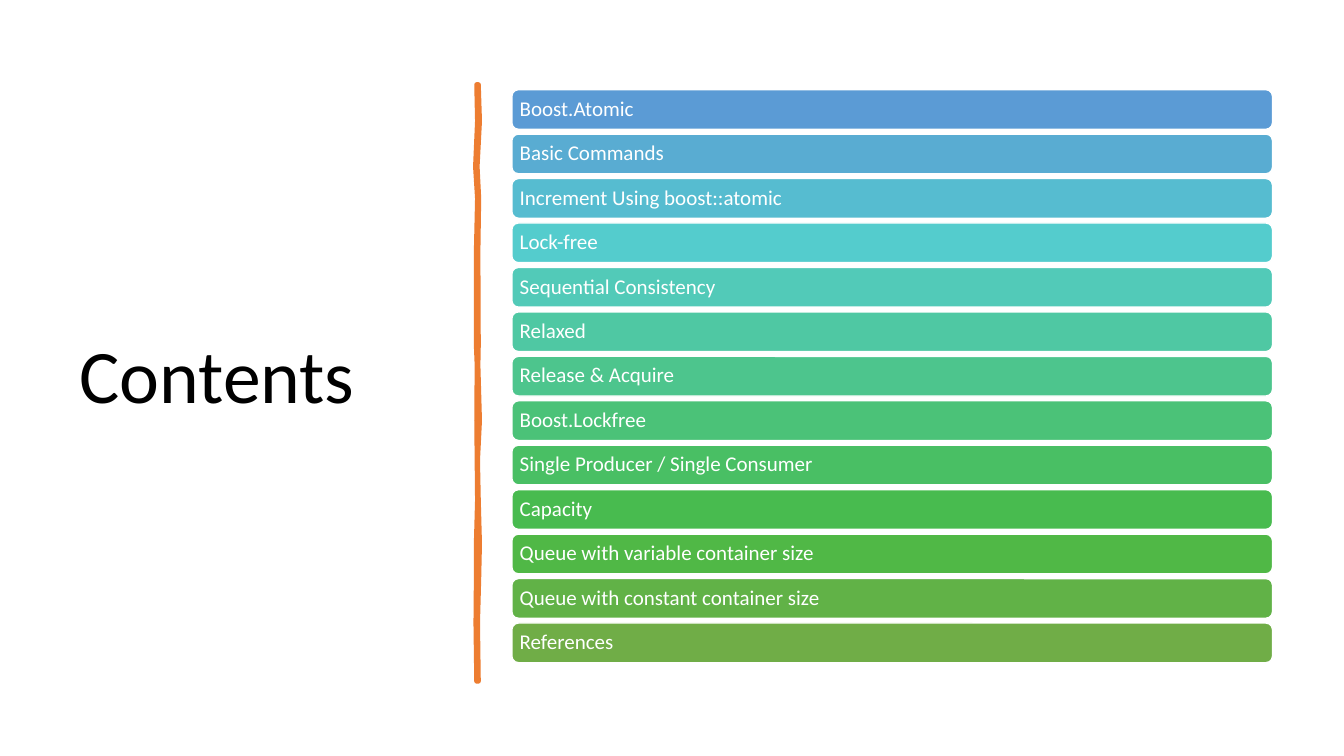
from pptx import Presentation
from pptx.dml.color import RGBColor
from pptx.enum import shapes, text
from pptx.util import Cm, Pt

TITLE = "Contents"
ITEMS = [
    ("Boost.Atomic", "5B9BD5"),
    ("Basic Commands", "59ACD2"),
    ("Increment Using boost::atomic", "56BCD0"),
    ("Lock-free", "54CCCD"),
    ("Sequential Consistency", "52CAB8"),
    ("Relaxed", "4FC8A3"),
    ("Release & Acquire", "4DC58D"),
    ("Boost.Lockfree", "4BC278"),
    ("Single Producer / Single Consumer", "49BF64"),
    ("Capacity", "48BB4F"),
    ("Queue with variable container size", "50B846"),
    ("Queue with constant container size", "61B247"),
    ("References", "70AD47"),
]
STROKE = [
    (2.13, 12.01, 12.06), (3.05, 12.03, 12.09), (4.2, 11.98, 12.03),
    (5.0, 12.03, 12.07), (6.35, 12.0, 12.05), (8.7, 12.0, 12.06),
    (9.2, 12.02, 12.05), (10.6, 12.01, 12.09), (11.6, 12.02, 12.04),
    (12.6, 12.03, 12.06), (13.7, 12.0, 12.09), (14.6, 12.0, 12.07),
    (15.7, 11.99, 12.04), (17.17, 12.01, 12.06),
]
LEFT, TOP, WIDTH, HEIGHT, STEP = 12.9, 2.26, 19.17, 1.0, 1.12


def color(code):
    return RGBColor.from_string(code)


def paint(shape, fill, line, width):
    shape.shadow.inherit = False
    shape.fill.solid()
    shape.fill.fore_color.rgb = color(fill)
    shape.line.color.rgb = color(line)
    shape.line.width = Pt(width)


def write(shape, words, size, ink):
    frame = shape.text_frame
    frame.text = words
    frame.word_wrap = True
    frame.auto_size = text.MSO_AUTO_SIZE.NONE
    frame.vertical_anchor = text.MSO_ANCHOR.MIDDLE
    para = frame.paragraphs[0]
    para.alignment = text.PP_ALIGN.LEFT
    para.line_spacing = 0.9
    font = para.runs[0].font
    font.name, font.size = "Calibri", Pt(size)
    font.color.rgb = color(ink)
    return frame


def add_title(slide):
    title = slide.shapes.title
    title.left, title.top = Cm(1.75), Cm(1.78)
    title.width, title.height = Cm(9.5), Cm(15.52)
    write(title, TITLE, 54, "000000")


def add_stroke(slide):
    left = [(Cm(x), Cm(y)) for y, x, _ in STROKE]
    right = [(Cm(x), Cm(y)) for y, _, x in reversed(STROKE)]
    path = slide.shapes.build_freeform(*left[0])
    path.add_line_segments(left[1:] + right, close=True)
    paint(path.convert_to_shape(), "ED7D31", "ED7D31", 3.25)


def add_bars(slide):
    for row, (words, fill) in enumerate(ITEMS):
        bar = slide.shapes.add_shape(
            shapes.MSO_SHAPE.ROUNDED_RECTANGLE,
            Cm(LEFT), Cm(TOP + row * STEP), Cm(WIDTH), Cm(HEIGHT))
        paint(bar, fill, "FFFFFF", 1)
        frame = write(bar, words, 15, "FFFFFF")
        frame.margin_left = frame.margin_right = Cm(0.15)
        frame.margin_top = frame.margin_bottom = Cm(0.15)


def main():
    deck = Presentation()
    deck.slide_width, deck.slide_height = Cm(33.87), Cm(19.05)
    slide = deck.slides.add_slide(deck.slide_layouts[5])
    add_title(slide)
    add_stroke(slide)
    add_bars(slide)
    deck.save("out.pptx")


if __name__ == "__main__":
    main()
